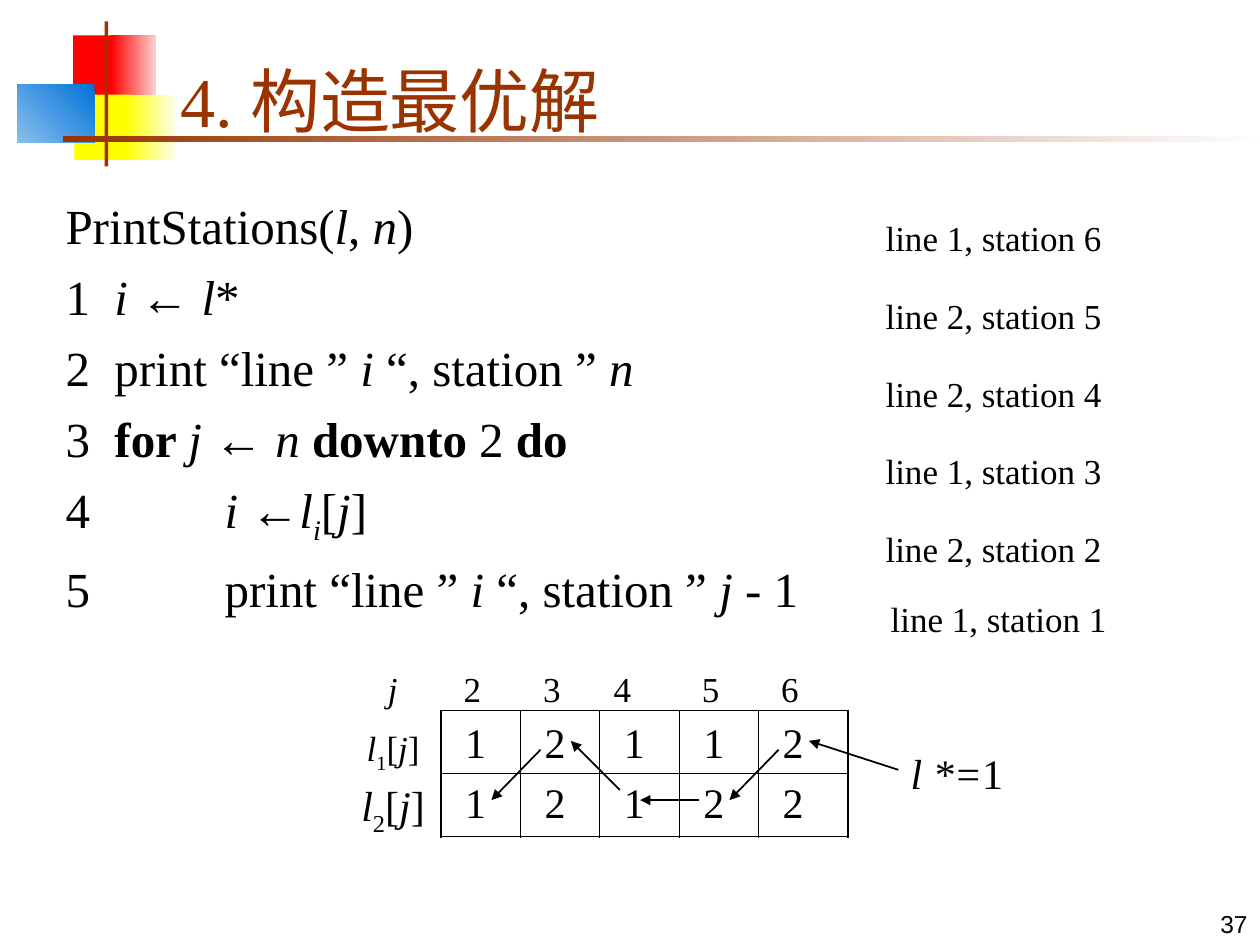
from lxml.etree import SubElement
from pptx import Presentation
from pptx.dml.color import RGBColor
from pptx.enum.shapes import MSO_CONNECTOR, MSO_SHAPE
from pptx.enum.text import MSO_ANCHOR, MSO_AUTO_SIZE, PP_ALIGN
from pptx.oxml import parse_xml
from pptx.oxml.ns import nsdecls, qn
from pptx.util import Inches, Pt

presentation = Presentation()
presentation.slide_width, presentation.slide_height = Inches(10), Inches(7.5)
slide = presentation.slides.add_slide(presentation.slide_layouts[1])
shapes = slide.shapes

# The slide is a grid of 100 columns by 75 rows; all places are in its units
unit = presentation.slide_width // 100
color = RGBColor.from_string
BLACK, BROWN = "000000", "993300"


def write_runs(paragraph, runs, size, ink=BLACK, font_name="Times New Roman"):
    """Add (text, style) runs; style letters: b bold, i italic, s subscript."""
    for text, style in runs:
        run = paragraph.add_run()
        run.text = text
        values = {"name": font_name, "size": Pt(size),
                  "bold": "b" in style, "italic": "i" in style}
        for name, value in values.items():
            setattr(run.font, name, value)
        run.font.color.rgb = color(ink)
        if "s" in style:
            run.font._element.set("baseline", "-25000")


def add_text(place, runs, size, align=PP_ALIGN.LEFT, wrap=True, font_name="Times New Roman"):
    shape = shapes.add_textbox(*[int(value * unit) for value in place])
    frame_format = {"word_wrap": wrap, "auto_size": MSO_AUTO_SIZE.SHAPE_TO_FIT_TEXT}
    for name, value in frame_format.items():
        setattr(shape.text_frame, name, value)
    paragraph = shape.text_frame.paragraphs[0]
    paragraph.alignment = align
    write_runs(paragraph, runs, size, font_name=font_name)
    return shape


# Corner ornament: place, colours (two make a gradient), angle
ornaments = [
    ((5.8, 2.8, 3.5, 5.2), ["FF0000"], 0),
    ((8.8, 2.8, 3.6, 5.2), ["FED0D0", "FF0000"], 180),
    ((5.9, 7.5, 4.6, 5.2), ["FFFF00"], 0),
    ((10, 7.5, 4, 5.2), ["FEFEEF", "FFFF00"], 180),
    ((1.4, 6.7, 6.1, 4.6), ["0073D9", "8ABEEC"], 225),
    ((8.3, 1.7, 0.3, 11.5), [BROWN], 0),
    ((5, 10.8, 95, 0.5), ["FEFEFE", BROWN], 180),
]
for place, colors, angle in ornaments:
    shape = shapes.add_shape(MSO_SHAPE.RECTANGLE, *[int(value * unit) for value in place])
    shape.shadow.inherit = False
    shape.line.fill.background()
    if len(colors) == 1:
        shape.fill.solid()
        shape.fill.fore_color.rgb = color(colors[0])
    else:
        shape.fill.gradient()
        shape.fill.gradient_angle = angle
        for stop, stop_color in zip(shape.fill.gradient_stops, colors):
            stop.color.rgb = color(stop_color)

# Title and body placeholders, brought in front of the ornament
title, body = shapes.title, slide.placeholders[1]
for placeholder, place, anchor in [
    (title, (13.3, 2.5, 85.2, 9.2), MSO_ANCHOR.BOTTOM),
    (body, (4.2, 15, 93.8, 52.1), MSO_ANCHOR.TOP),
]:
    for name, value in zip(("left", "top", "width", "height"), place):
        setattr(placeholder, name, int(value * unit))
    placeholder.text_frame.auto_size = MSO_AUTO_SIZE.NONE
    placeholder.text_frame.vertical_anchor = anchor
    shapes.element.append(placeholder.element)

heading = title.text_frame.paragraphs[0]
heading.alignment = PP_ALIGN.LEFT
write_runs(heading, [("4. 构造最优解", "")], 40, BROWN)

# Pseudocode: extra width of the space after the line number (points), runs
code_lines = [
    (0, [("PrintStations(", ""), ("l", "i"), (", ", ""), ("n", "i"), (")", "")]),
    (7, [("1", ""), (" ", ""), ("i ", "i"), ("← ", ""), ("l", "i"), ("*", "")]),
    (7, [("2", ""), (" ", ""), ("print “line ” ", ""), ("i", "i"),
         (" “, station ” ", ""), ("n", "i")]),
    (7, [("3", ""), (" ", ""), ("for ", "b"), ("j", "i"), (" ← ", ""), ("n ", "i"),
         ("downto ", "b"), ("2 ", ""), ("do", "b")]),
    (70, [("4", ""), (" ", ""), ("i", "i"), (" ←", ""), ("l", "i"), ("i", "is"),
          ("[", ""), ("j", "i"), ("]", "")]),
    (70, [("5", ""), (" ", ""), ("print “line ” ", ""), ("i", "i"),
          (" “, station ” ", ""), ("j", "i"), (" - 1", "")]),
]
for index, (gap, runs) in enumerate(code_lines):
    paragraph = body.text_frame.paragraphs[0] if index == 0 else body.text_frame.add_paragraph()
    paragraph.space_before = Pt(7)
    properties = paragraph._p.get_or_add_pPr()
    properties.set("marL", "0")
    properties.set("indent", "0")
    SubElement(properties, qn("a:buNone"))
    write_runs(paragraph, runs, 28)
    if gap:
        paragraph.runs[1].font._element.set("spc", str(gap * 100))

# Printed output, from the last station to the first
for index, line_number in enumerate([1, 2, 2, 1, 2]):
    add_text((69.3, 16.7 + 6.17 * index, 24.5, 4.4),
             [(f"line {line_number}, station {6 - index}", "")], 20)
add_text((69.7, 46.9, 24.5, 4.4), [("line 1, station 1", "")], 20)

# Table grid: thin lines inside, a thicker frame outside
table_left, table_top, column_step, row_step = 35, 56.4, 6.3, 5
table = shapes.add_table(2, 5, *[int(value * unit) for value in
                                 (table_left, table_top, 32.3, 2 * row_step)]).table
table.first_row = table.horz_banding = False
for index, column in enumerate(table.columns):
    column.width = int((7.1 if index == 4 else column_step) * unit)
for row in range(2):
    for column in range(5):
        cell = table.cell(row, column)
        cell.fill.background()
        outer_sides = {"L": column == 0, "R": column == 4, "T": row == 0, "B": row == 1}
        for index, (side, outer) in enumerate(outer_sides.items()):
            width = Pt(1.08 if outer else 0.45)
            cell._tc.get_or_add_tcPr().insert(index, parse_xml(
                f'<a:ln{side} {nsdecls("a")} w="{width}"><a:solidFill>'
                f'<a:srgbClr val="{BLACK}"/></a:solidFill></a:ln{side}>'))

# Labels around the table
labels = [((left, 52.5, 3.4, 4.4), [(str(number), "")], 20)
          for number, left in enumerate([35.8, 42.1, 47.7, 54.7, 61], start=2)]
labels += [
    ((29.8, 52.5, 2.7, 4.4), [("j", "i")], 20),
    ((27.7, 57.2, 7, 4.8), [("l", "i"), ("1", "s"), ("[", ""), ("j", "i"), ("]", "")], 20),
    ((27.2, 61.4, 8, 5.6), [("l", "i"), ("2", "s"), ("[", ""), ("j", "i"), ("]", "")], 24),
    ((70.8, 58.8, 10.3, 5), [("l *=", "i"), ("1", "")], 24),
]
for place, runs, size in labels:
    add_text(place, runs, size, PP_ALIGN.CENTER, wrap=False)

# Digits laid over the table
for row, digits in enumerate(["12112", "12122"]):
    for column, digit in enumerate(digits):
        shape = add_text((table_left + column_step * column, table_top + 4.7 * row, 5.5, 5),
                         [(digit, "")], 24, PP_ALIGN.CENTER)
        shape.text_frame.paragraphs[0].space_before = Pt(15)

# Arrows that trace the best path backwards
arrows = [
    (71.3, 61.1, 64.2, 58.8),
    (61.8, 59.5, 57.9, 63.5),
    (55.5, 63.5, 50.8, 63.5),
    (49.2, 62.7, 45.3, 58.8),
    (42.9, 59.5, 39, 63.5),
]
for ends in arrows:
    arrow = shapes.add_connector(MSO_CONNECTOR.STRAIGHT, *[int(value * unit) for value in ends])
    arrow.line.width = Pt(1)
    arrow.line.color.rgb = color(BLACK)
    SubElement(arrow.line._get_or_add_ln(), qn("a:tailEnd"), type="triangle")
    SubElement(arrow.element.spPr, qn("a:effectLst"))

# Page number
page_number = add_text((79.2, 70, 20.8, 5), [("37", "")], 14, PP_ALIGN.RIGHT, font_name="Arial")
page_number.text_frame.auto_size = MSO_AUTO_SIZE.NONE
page_number.text_frame.vertical_anchor = MSO_ANCHOR.BOTTOM

presentation.save("out.pptx")
